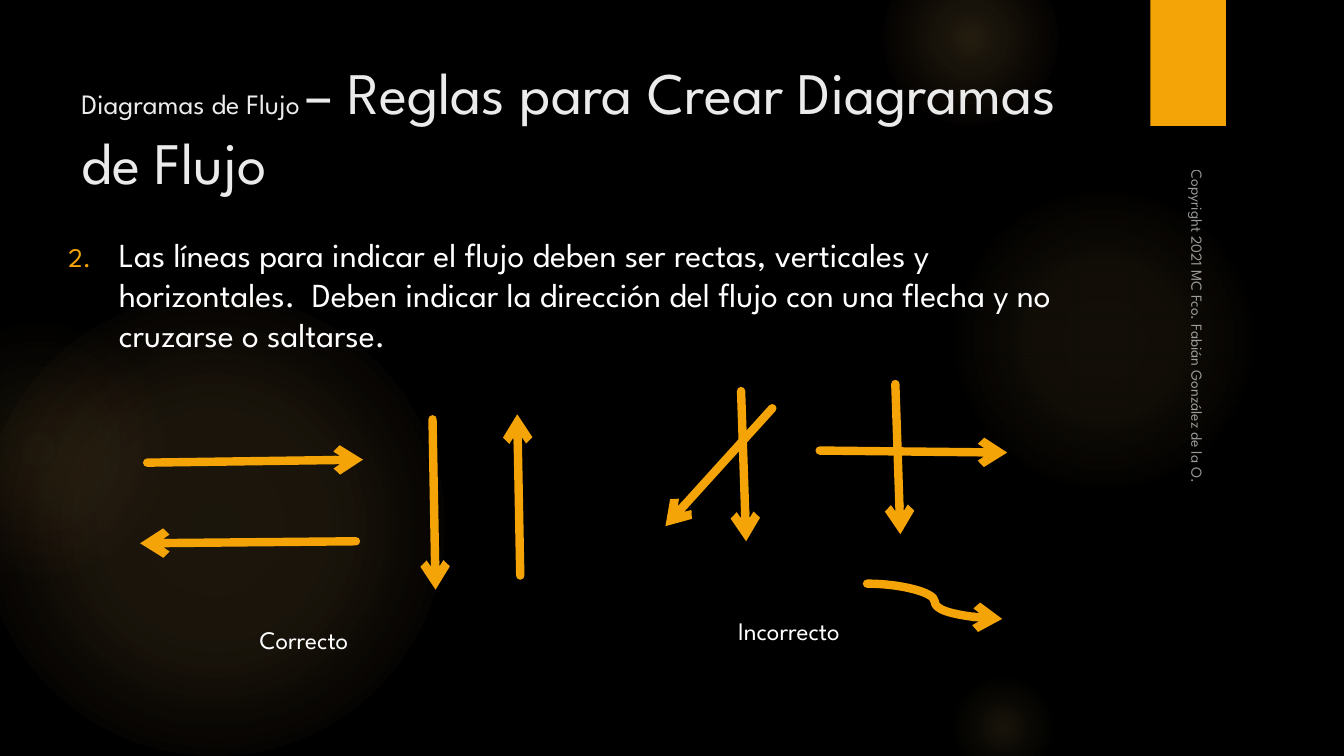
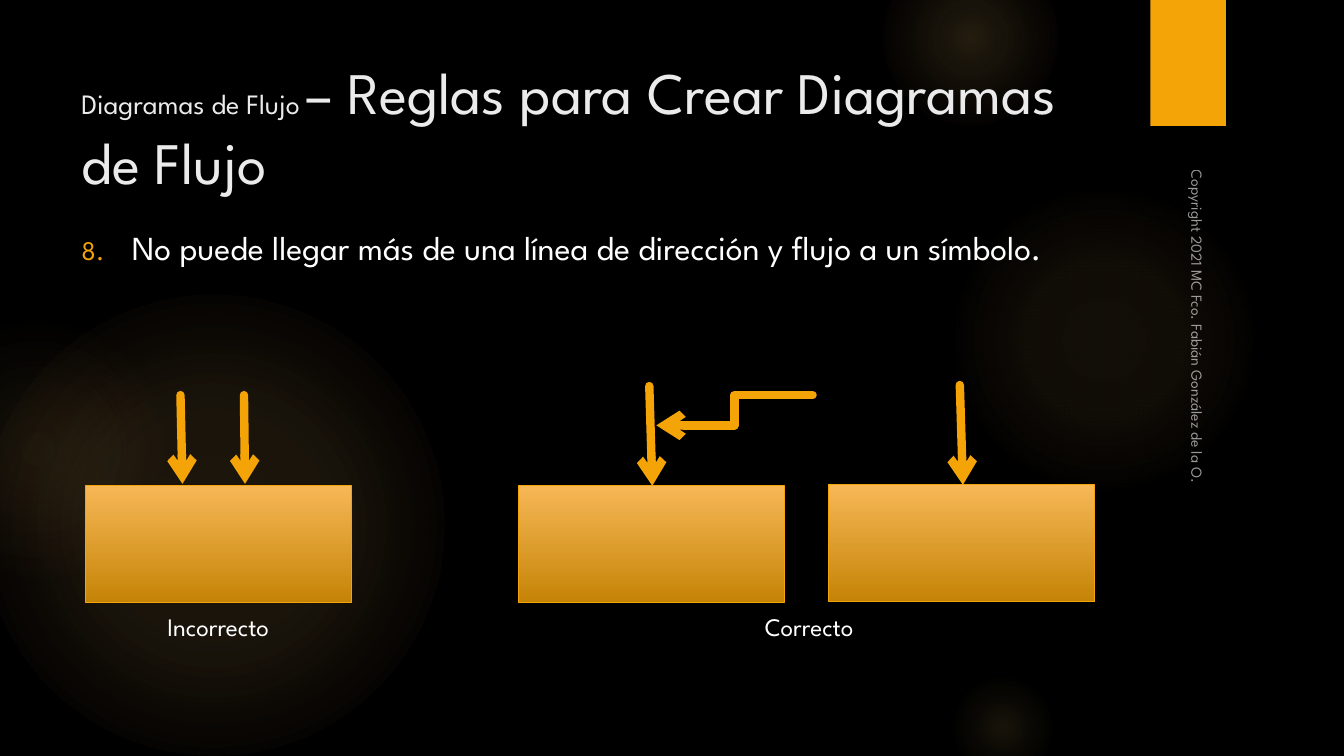
from lxml import etree
from pptx import Presentation
from pptx.dml.color import RGBColor
from pptx.enum import shapes, text
from pptx.oxml import ns
from pptx.util import Inches, Pt

FONT = "League Spartan"
BLACK = RGBColor(0x00, 0x00, 0x00)
WHITE = RGBColor(0xFF, 0xFF, 0xFF)
TITLE_GREY = RGBColor(0xEB, 0xEB, 0xEB)
ORANGE = RGBColor(0xF5, 0xA4, 0x08)
BOX_TOP = RGBColor(0xF7, 0xB7, 0x56)
BOX_BOTTOM = RGBColor(0xC5, 0x84, 0x06)
GLOW = RGBColor(0xFA, 0xC9, 0x6A)
GLOW_EDGE = RGBColor(0xF5, 0x9B, 0x74)

RECT, OVAL = shapes.MSO_SHAPE.RECTANGLE, shapes.MSO_SHAPE.OVAL
STRAIGHT = shapes.MSO_CONNECTOR.STRAIGHT
ELBOW = shapes.MSO_CONNECTOR.ELBOW
CURVE = shapes.MSO_CONNECTOR.CURVE
LEFT, CENTER = text.PP_ALIGN.LEFT, text.PP_ALIGN.CENTER
TOP, BOTTOM = text.MSO_ANCHOR.TOP, text.MSO_ANCHOR.BOTTOM

TITLE = [("Diagramas de Flujo ", 20), ("– Reglas para Crear Diagramas de Flujo", 42)]
COPYRIGHT = "Copyright 2021 MC Fco. Fabián González de la O."

# left, top, diameter, stops of (position %, colour, opacity %)
GLOWS = [
    (-0.17, 2.92, 4.58, [(0, GLOW, 11), (36, GLOW, 10), (75, GLOW, 0)]),
    (-0.92, 3.17, 2.58, [(0, GLOW, 8), (36, GLOW, 5), (71, GLOW_EDGE, 0)]),
    (9.41, 1.83, 3.08, [(0, GLOW, 7), (36, GLOW, 6), (69, GLOW, 0)]),
    (8.75, -0.5, 1.75, [(0, GLOW, 14), (36, GLOW, 7), (73, GLOW, 0)]),
    (9.41, 6.67, 1.08, [(0, GLOW, 10), (31, GLOW, 5), (66, GLOW, 0)]),
]
RADIAL = '<a:path path="circle"><a:fillToRect l="50000" t="50000" r="50000" b="50000"/></a:path>'
DOWNWARD = '<a:lin ang="5400000" scaled="0"/>'
BOX_STOPS = [(0, BOX_TOP, 100), (100, BOX_BOTTOM, 100)]
BOX_SIZE = (2.64, 1.16)

RULES = [
    {
        "number": 2,
        "rule": "Las líneas para indicar el flujo deben ser rectas, verticales y horizontales.  "
                "Deben indicar la dirección del flujo con una flecha y no cruzarse o saltarse.",
        "rule_at": (0.58, 2.27, 10.53, 1.27),
        "boxes": [],
        "arrows": [
            (CURVE, 8.6, 5.79, 9.94, 6.14),
            (STRAIGHT, 1.46, 4.59, 3.6, 4.56),
            (STRAIGHT, 3.53, 5.37, 1.39, 5.39),
            (STRAIGHT, 4.29, 4.16, 4.32, 5.85),
            (STRAIGHT, 5.16, 5.71, 5.13, 4.11),
            (STRAIGHT, 7.35, 3.88, 7.4, 5.37),
            (STRAIGHT, 7.66, 4.05, 6.6, 5.22),
            (STRAIGHT, 8.88, 3.81, 8.93, 5.3),
            (STRAIGHT, 8.13, 4.47, 9.99, 4.49),
        ],
        "captions": [("Correcto", (1.87, 6.14, 2.29, 0.4)),
                     ("Incorrecto", (6.53, 6.05, 2.59, 0.49))],
    },
    {
        "number": 8,
        "rule": "No puede llegar más de una línea de dirección y flujo a un símbolo.",
        "rule_at": (0.71, 2.2, 10.53, 1.04),
        "boxes": [(0.85, 4.82), (5.14, 4.82), (8.22, 4.81)],
        "arrows": [
            (STRAIGHT, 1.79, 3.92, 1.81, 4.8),
            (STRAIGHT, 2.42, 3.92, 2.43, 4.8),
            (STRAIGHT, 6.44, 3.83, 6.47, 4.82),
            (ELBOW, 8.06, 3.92, 6.51, 4.22),
            (STRAIGHT, 9.52, 3.82, 9.55, 4.81),
        ],
        "captions": [("Incorrecto", (1.39, 6.02, 1.55, 0.42)),
                     ("Correcto", (7.25, 6.02, 1.55, 0.42))],
    },
]


def add_gradient_shape(s, kind, at, stops, direction):
    """Add a preset shape without outline, filled by (position, colour, opacity) stops."""
    sp = s.shapes.add_shape(kind, *map(Inches, at))
    sp.shadow.inherit = False
    sp.line.fill.background()
    sp.fill.background()
    gs = "".join(
        f'<a:gs pos="{pos * 1000}"><a:srgbClr val="{color}">'
        f'<a:alpha val="{opacity * 1000}"/></a:srgbClr></a:gs>'
        for pos, color, opacity in stops)
    grad = etree.fromstring(
        f'<a:gradFill {ns.nsdecls("a")} rotWithShape="1"><a:gsLst>{gs}</a:gsLst>{direction}</a:gradFill>')
    spPr = sp._element.spPr
    spPr.replace(spPr.find(ns.qn("a:noFill")), grad)
    return sp


def add_text(s, at, runs, color=WHITE, align=LEFT, anchor=TOP):
    """Add a one-paragraph text box made of (text, size) runs."""
    sp = s.shapes.add_textbox(*map(Inches, at))
    tf = sp.text_frame
    tf.word_wrap = True
    tf.vertical_anchor = anchor
    p = tf.paragraphs[0]
    p.alignment = align
    for words, size in runs:
        r = p.add_run()
        r.text = words
        for name, value in {"name": FONT, "size": Pt(size)}.items():
            setattr(r.font, name, value)
        r.font.color.rgb = color
    return sp


prs = Presentation()
prs.slide_width, prs.slide_height = Inches(13.33), Inches(7.5)
backdrop = prs.slide_master.background.fill
backdrop.solid()
backdrop.fore_color.rgb = BLACK

for rule in RULES:
    s = prs.slides.add_slide(prs.slide_layouts[6])

    for left, top, size, stops in GLOWS:
        add_gradient_shape(s, OVAL, (left, top, size, size), stops, RADIAL)
    band = s.shapes.add_shape(RECT, *map(Inches, (11.41, 0, 0.75, 1.25)))
    band.shadow.inherit = False
    band.fill.solid()
    band.fill.fore_color.rgb = ORANGE
    band.line.fill.background()

    add_text(s, (0.71, 0.5, 10.29, 1.5), TITLE, TITLE_GREY)

    p = add_text(s, rule["rule_at"], [(rule["rule"], 24)]).text_frame.paragraphs[0]
    for name, value in {"space_before": Pt(5), "space_after": Pt(6)}.items():
        setattr(p, name, value)
    pPr = p._p.get_or_add_pPr()
    pPr.set("marL", str(Inches(0.5)))
    pPr.set("indent", str(Inches(-0.5)))
    color = etree.SubElement(pPr, ns.qn("a:buClr"))
    etree.SubElement(color, ns.qn("a:srgbClr"), val=str(ORANGE))
    etree.SubElement(pPr, ns.qn("a:buSzPct"), val="80000")
    etree.SubElement(pPr, ns.qn("a:buFont"), typeface=FONT)
    etree.SubElement(pPr, ns.qn("a:buAutoNum"), type="arabicPeriod", startAt=str(rule["number"]))

    footer = add_text(s, (9.79, 3.53, 4.22, 0.33), [(COPYRIGHT, 11)], anchor=BOTTOM)
    footer.rotation = 90
    for color in footer._element.iter(ns.qn("a:srgbClr")):
        etree.SubElement(color, ns.qn("a:alpha"), val="60000")

    for corner in rule["boxes"]:
        box = add_gradient_shape(s, RECT, corner + BOX_SIZE, BOX_STOPS, DOWNWARD)
        box.line.color.rgb = ORANGE
        box.line.width = Pt(0.75)

    for kind, *ends in rule["arrows"]:
        arrow = s.shapes.add_connector(kind, *map(Inches, ends))
        arrow.line.color.rgb = ORANGE
        arrow.line.width = Pt(6)
        ln = arrow.line._get_or_add_ln()
        ln.set("cap", "rnd")
        etree.SubElement(ln, ns.qn("a:round"))
        etree.SubElement(ln, ns.qn("a:tailEnd"), type="arrow")
        etree.SubElement(arrow._element.spPr, ns.qn("a:effectLst"))

    for words, at in rule["captions"]:
        add_text(s, at, [(words, 18)], align=CENTER)

prs.save("out.pptx")
